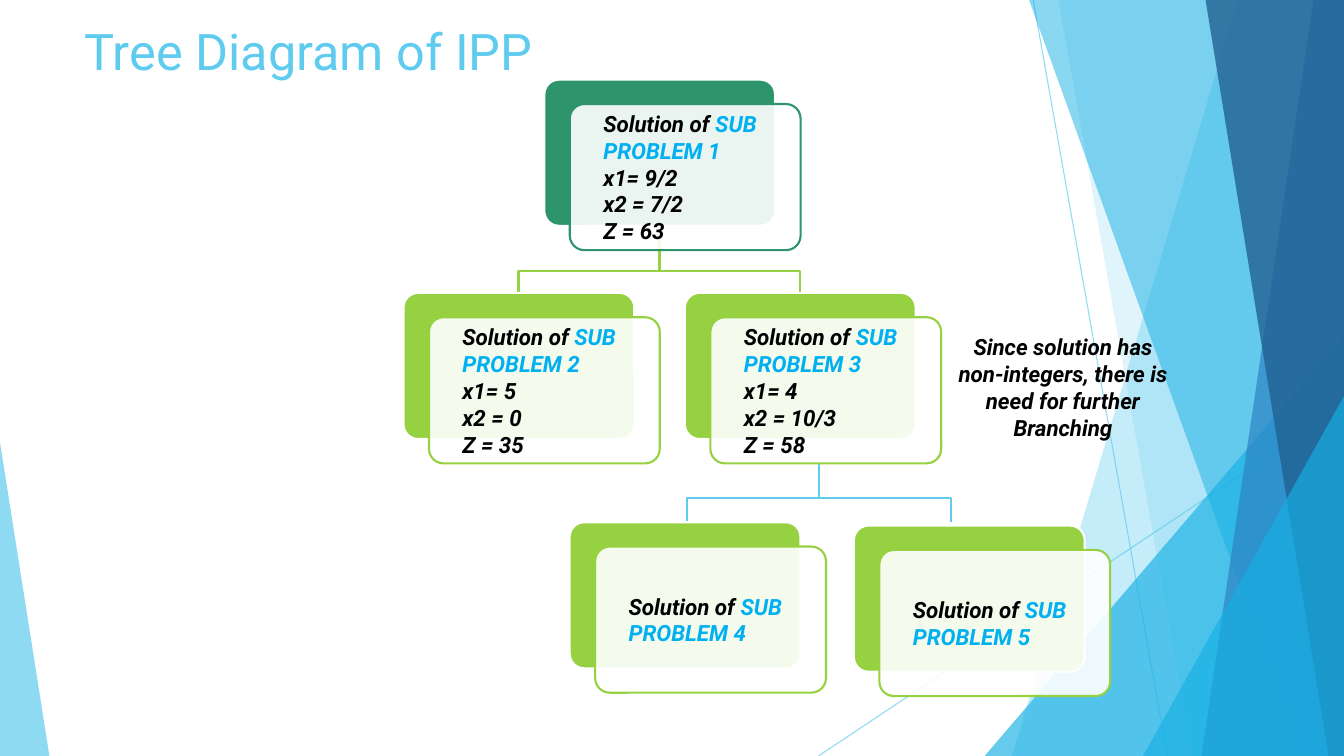
from lxml import etree
from pptx import Presentation
from pptx.dml.color import RGBColor
from pptx.enum.shapes import MSO_CONNECTOR, MSO_SHAPE
from pptx.enum.text import MSO_ANCHOR, PP_ALIGN
from pptx.oxml.ns import qn
from pptx.util import Pt

STRAIGHT = MSO_CONNECTOR.STRAIGHT
ROUNDED = MSO_SHAPE.ROUNDED_RECTANGLE
TRIANGLE = MSO_SHAPE.ISOSCELES_TRIANGLE
TOP, MIDDLE = MSO_ANCHOR.TOP, MSO_ANCHOR.MIDDLE
LEFT, CENTER = PP_ALIGN.LEFT, PP_ALIGN.CENTER

SKY = RGBColor(0x5F, 0xCB, 0xEF)
CYAN = RGBColor(0x17, 0xB0, 0xE4)
BLUE = RGBColor(0x2E, 0x83, 0xC3)
NAVY = RGBColor(0x22, 0x62, 0x92)
GREEN = RGBColor(0x2E, 0x94, 0x6B)
LIME = RGBColor(0x96, 0xD1, 0x41)
ACCENT = RGBColor(0x00, 0xB0, 0xF0)
BLACK = RGBColor(0, 0, 0)
WHITE = RGBColor(0xFF, 0xFF, 0xFF)

FONT = "Roboto"
PAGE_WIDTH, PAGE_HEIGHT = 960, 540
CARD_WIDTH, CARD_HEIGHT = 164.9, 104.4
FRONT_DX, FRONT_DY = 18.2, 17.4


def paint(shape, color, opacity=100, line_color=None):
    shape.shadow.inherit = False
    shape.fill.solid()
    shape.fill.fore_color.rgb = color
    if opacity < 100:
        color_element = shape._element.spPr.find(qn("a:solidFill"))[0]
        etree.SubElement(color_element, qn("a:alpha"), val=str(opacity * 1000))
    if line_color is None:
        shape.line.fill.background()
    else:
        shape.line.color.rgb = line_color
        shape.line.width = Pt(1.5)


def style(para, alignment):
    para.alignment = alignment
    para.font.name = FONT
    para.font.size = Pt(16)
    para.font.bold = True
    para.font.italic = True
    para.font.color.rgb = BLACK


deck = Presentation()
deck.slide_width, deck.slide_height = Pt(PAGE_WIDTH), Pt(PAGE_HEIGHT)
page = deck.slides.add_slide(deck.slide_layouts[5])
shapes = page.shapes

for x1, y1, x2, y2 in [(738, 0, 833.8, 540), (960, 290.2, 584.6, 540)]:
    ray = shapes.add_connector(STRAIGHT, Pt(x1), Pt(y1), Pt(x2), Pt(y2))
    ray.line.color.rgb = SKY
    ray.line.width = Pt(0.75)
    ray_color = ray._element.spPr.find(qn("a:ln")).find(qn("a:solidFill"))[0]
    etree.SubElement(ray_color, qn("a:alpha"), val="70000")
    etree.SubElement(ray._element.spPr, qn("a:effectLst"))

facets = [
    ("band", (884.2, 722.9), SKY, 36),
    ("band", (756, 851.8), SKY, 20),
    ("triangle", (703.4, 239.8, 256.6, 1), CYAN, 66),
    ("band", (735.1, 929.5), CYAN, 50),
    ("band", (938.2, 858.2), BLUE, 70),
    ("band", (861.1, 949), NAVY, 80),
    ("triangle", (816.5, 283, 143.5, 1), CYAN, 66),
    ("triangle", (0, 316.1, 35.3, 0), SKY, 70),
]
for kind, geometry, color, opacity in facets:
    if kind == "band":
        top_x, bottom_x = geometry
        outline = shapes.build_freeform(Pt(top_x), 0)
        outline.add_line_segments([
            (Pt(PAGE_WIDTH), 0),
            (Pt(PAGE_WIDTH), Pt(PAGE_HEIGHT)),
            (Pt(bottom_x), Pt(PAGE_HEIGHT)),
        ])
        facet = outline.convert_to_shape()
    else:
        left, top, width, apex = geometry
        facet = shapes.add_shape(TRIANGLE, Pt(left), Pt(top), Pt(width), Pt(PAGE_HEIGHT - top))
        facet.adjustments[0] = apex
    paint(facet, color, opacity)

title = shapes.title
shapes._spTree.append(title._element)
title.left, title.top, title.width, title.height = Pt(53.3), Pt(10.8), Pt(676.8), Pt(57.6)
title.text_frame.text = "Tree Diagram of IPP"
title.text_frame.vertical_anchor = TOP
heading = title.text_frame.paragraphs[0]
heading.alignment = LEFT
heading.font.name = FONT
heading.font.size = Pt(36)
heading.font.color.rgb = SKY

forks = [
    (471.1, (161.3, 193.7, 208.8), (571.5, 370.4), LIME),
    (585.2, (331.2, 356, 373), (679.6, 490.6), SKY),
]
for trunk_x, (start_y, bend_y, end_y), child_xs, color in forks:
    for child_x in child_xs:
        outline = shapes.build_freeform(Pt(trunk_x), Pt(start_y))
        outline.add_line_segments([
            (Pt(trunk_x), Pt(bend_y)),
            (Pt(child_x), Pt(bend_y)),
            (Pt(child_x), Pt(end_y)),
        ], close=False)
        branch = outline.convert_to_shape()
        branch.shadow.inherit = False
        branch.fill.background()
        branch.line.color.rgb = color
        branch.line.width = Pt(1.5)

cards = [
    (388.8, 56.9, GREEN, "SUB PROBLEM 1", ["x1= 9/2", "x2 = 7/2", "Z = 63"]),
    (288.2, 209.2, LIME, "SUB PROBLEM 2", ["x1= 5", "x2 = 0", "Z = 35"]),
    (489.2, 209.2, LIME, "SUB PROBLEM 3", ["x1= 4", "x2 = 10/3", "Z = 58"]),
    (406.9, 373, LIME, "SUB PROBLEM 4", []),
    (609.9, 375.4, LIME, "SUB PROBLEM 5", []),
]
for left, top, color, problem, values in cards:
    back = shapes.add_shape(ROUNDED, Pt(left), Pt(top), Pt(CARD_WIDTH), Pt(CARD_HEIGHT))
    paint(back, color, line_color=WHITE)
    front = shapes.add_shape(ROUNDED, Pt(left + FRONT_DX), Pt(top + FRONT_DY),
                             Pt(CARD_WIDTH), Pt(CARD_HEIGHT))
    paint(front, WHITE, 90, color)
    back.adjustments[0] = front.adjustments[0] = 0.1

    frame = front.text_frame
    frame.word_wrap = True
    frame.vertical_anchor = MIDDLE
    frame.margin_left = frame.margin_right = Pt(20.9)
    frame.margin_top = frame.margin_bottom = Pt(20.9)
    para = frame.paragraphs[0]
    style(para, LEFT)
    para.add_run().text = "Solution of "
    span = para.add_run()
    span.text = problem
    span.font.color.rgb = ACCENT
    for value in values:
        para = frame.add_paragraph()
        style(para, LEFT)
        para.add_run().text = value

note = shapes.add_textbox(Pt(671.8), Pt(234.7), Pt(175), Pt(53.3))
note.text_frame.word_wrap = True
note.text_frame.text = "Since solution has non-integers, there is need for further Branching"
style(note.text_frame.paragraphs[0], CENTER)

deck.save("out.pptx")
